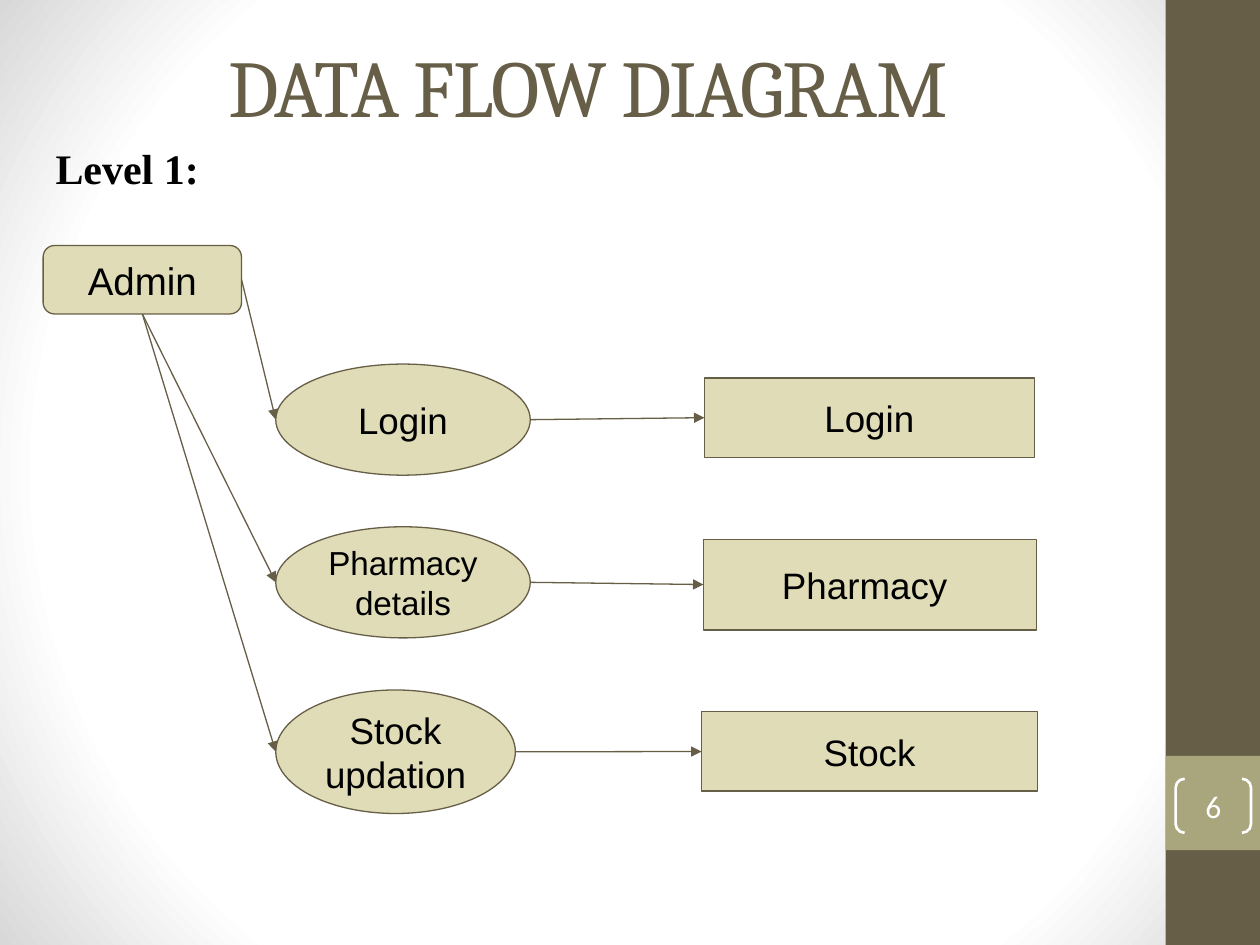
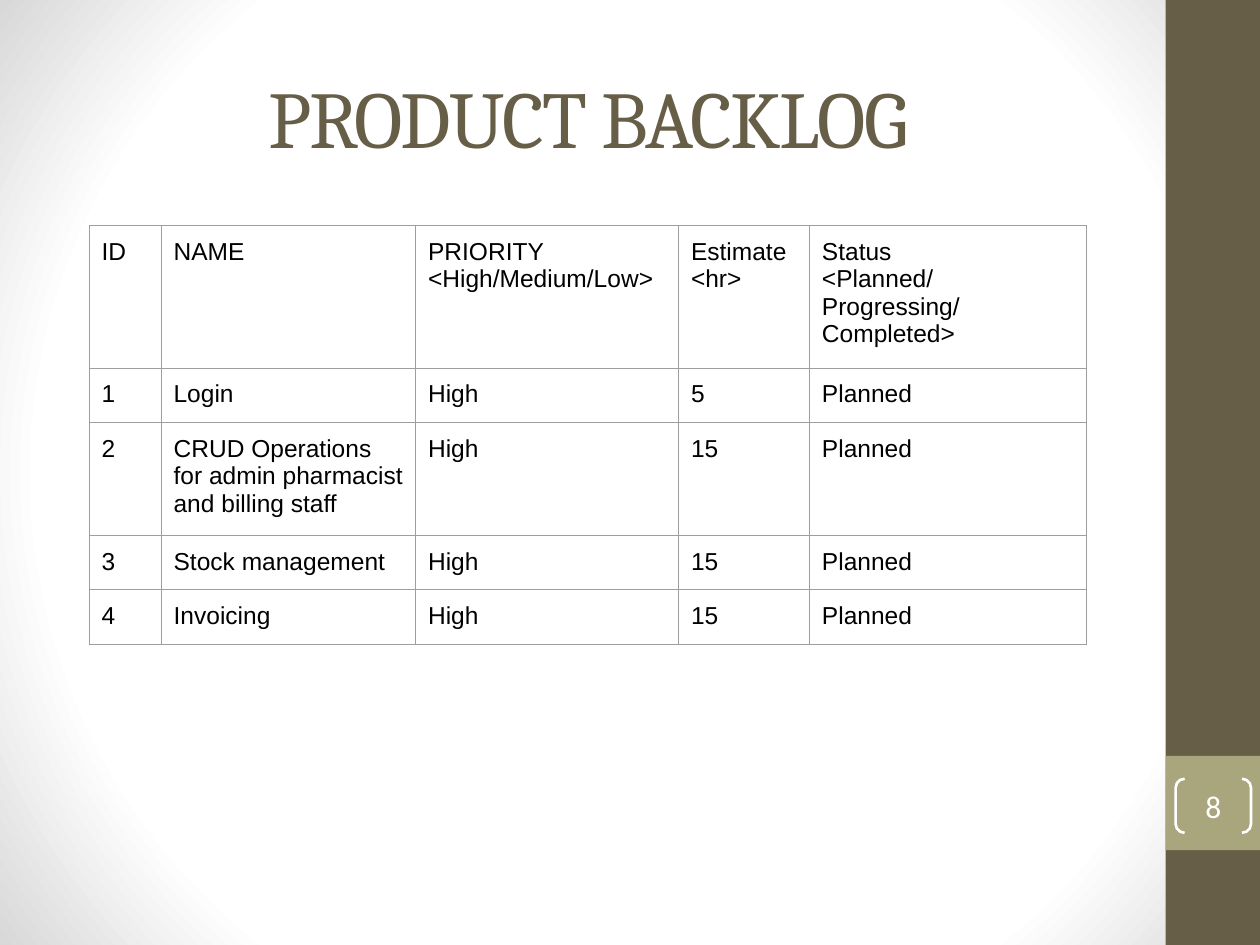
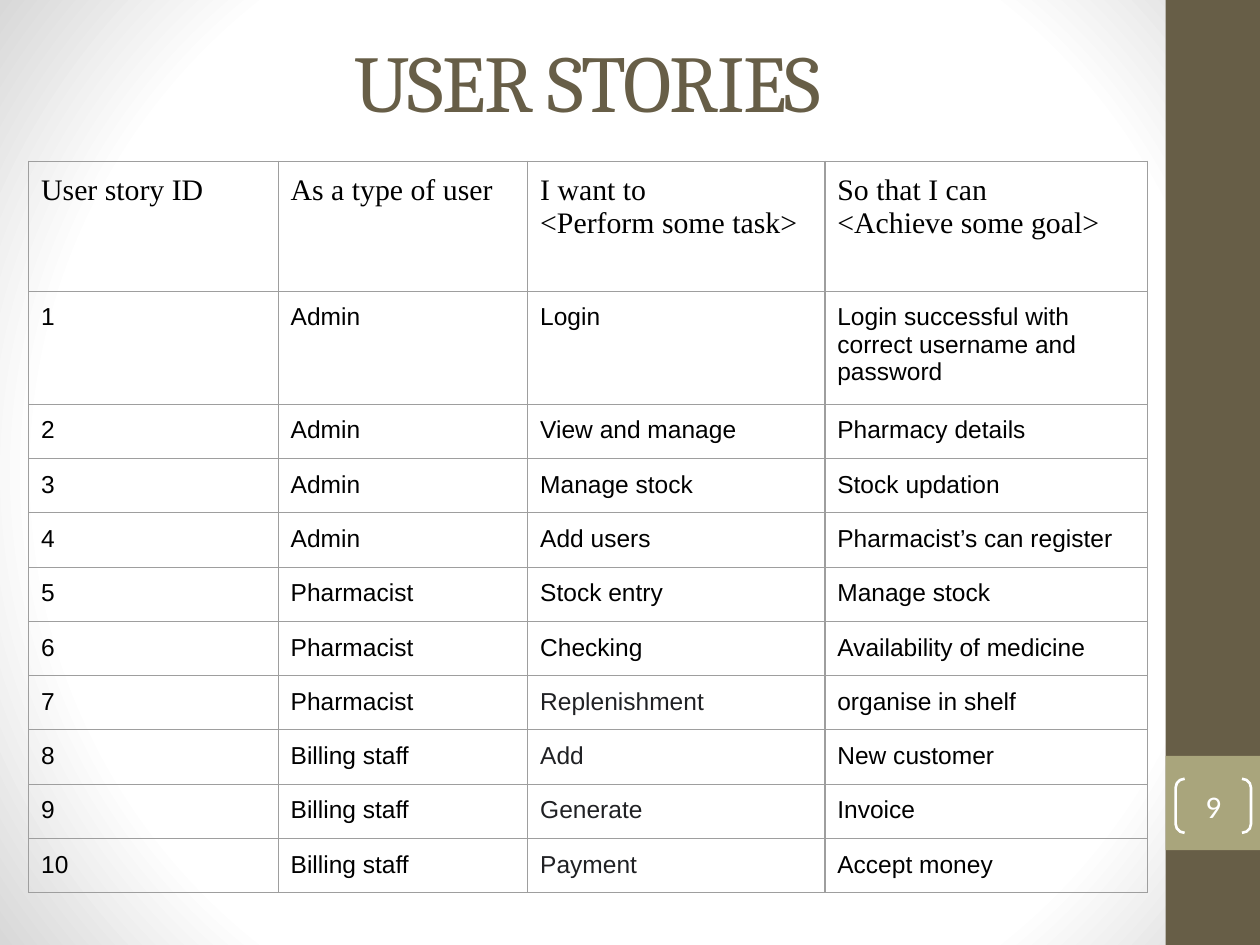
from lxml.etree import SubElement
from pptx import Presentation
from pptx.dml.color import RGBColor
from pptx.enum.shapes import MSO_CONNECTOR as Link, MSO_SHAPE as Kind
from pptx.enum.text import MSO_ANCHOR as Anchor, PP_ALIGN as Align
from pptx.oxml import parse_xml
from pptx.oxml.ns import nsdecls, qn
from pptx.util import Cm, Pt

# Colours
BROWN = RGBColor(0x67, 0x5E, 0x47)
OLIVE = RGBColor(0xA9, 0xA5, 0x7C)
SAND = RGBColor(0xDF, 0xDC, 0xB7)
WHITE = RGBColor(0xFF, 0xFF, 0xFF)
BLACK = RGBColor(0, 0, 0)
INK = RGBColor(0x20, 0x21, 0x24)
GREY = RGBColor(0x9E, 0x9E, 0x9E)

# Connection sites of a rectangle
LEFT, BOTTOM, RIGHT = 1, 2, 3
PAD = 0.25
ROW = 1.06

# Flow rows: process (text, size, top, width, height), store (text, left, top, width, height)
FLOWS = [
    (("Login", 21, 7.34, 5.13, 2.24), ("Login", 14.2, 7.62, 6.65, 1.6)),
    (("Pharmacy details", 19, 10.62, 5.13, 2.24), ("Pharmacy ", 14.18, 10.87, 6.71, 1.83)),
    (("Stock updation", 21, 13.91, 4.83, 2.49), ("Stock", 14.14, 14.35, 6.78, 1.6)),
]

BACKLOG = [
    ("ID", "NAME", "PRIORITY\n<High/Medium/Low>", "Estimate\n<hr>",
     "Status\n<Planned/Progressing/Completed>"),
    ("1", "Login", "High", "5", "Planned"),
    ("2", "CRUD Operations for admin pharmacist and billing staff", "High", "15", "Planned"),
    ("3", "Stock management", "High", "15", "Planned"),
    ("4", "Invoicing", "High", "15", "Planned"),
]

STORIES = [
    ("User story ID", "As a type of user", "I want to\n<Perform some task>",
     "So that I can\n<Achieve some goal>"),
    ("1", "Admin", "Login", "Login successful with correct username and password"),
    ("2", "Admin", "View and manage", "Pharmacy details"),
    ("3", "Admin", "Manage stock", "Stock updation"),
    ("4", "Admin", "Add users", "Pharmacist’s can register"),
    ("5", "Pharmacist", "Stock entry", "Manage stock"),
    ("6", "Pharmacist", "Checking", "Availability of medicine"),
    ("7", "Pharmacist", "Replenishment", "organise in shelf"),
    ("8", "Billing staff", "Add", "New customer"),
    ("9", "Billing staff", "Generate", "Invoice"),
    ("10", "Billing staff", "Payment", "Accept money"),
]


def set_text(frame, text, size, face="Arial", color=BLACK, align=None, bold=False):
    frame.text = text
    for para in frame.paragraphs:
        para.alignment = align
        for run in para.runs:
            font = run.font
            font.size, font.name, font.bold = Pt(size), face, bold
            font.color.rgb = color


def set_pads(frame, side, top):
    frame.word_wrap = True
    frame.margin_left = frame.margin_right = Cm(side)
    frame.margin_top = frame.margin_bottom = Cm(top)


def add_box(slide, kind, box, fill=None, line=None, width=0.75):
    shape = slide.shapes.add_shape(kind, *map(Cm, box))
    shape.shadow.inherit = False
    if fill is None:
        shape.fill.background()
    else:
        shape.fill.solid()
        shape.fill.fore_color.rgb = fill
    if line is None:
        shape.line.fill.background()
    else:
        shape.line.color.rgb = line
        shape.line.width = Pt(width)
    return shape


def add_node(slide, kind, box, text, size):
    node = add_box(slide, kind, box, SAND, BROWN)
    frame = node.text_frame
    set_pads(frame, PAD, PAD)
    frame.vertical_anchor = Anchor.MIDDLE
    set_text(frame, text, size, align=Align.CENTER)
    return node


def add_label(slide, box, text, size, face, color, pad=PAD, **style):
    frame = slide.shapes.add_textbox(*map(Cm, box)).text_frame
    set_pads(frame, PAD, pad)
    set_text(frame, text, size, face, color, **style)
    return frame


def add_arrow(slide, start, end):
    arrow = slide.shapes.add_connector(Link.STRAIGHT, *start, *end)
    arrow.line.color.rgb = BROWN
    arrow.line.width = Pt(0.75)
    props = arrow.element.spPr
    SubElement(props.find(qn("a:ln")), qn("a:tailEnd"), type="triangle")
    SubElement(props, qn("a:effectLst"))
    return arrow


def middle(shape):
    return shape.top + shape.height // 2


def add_edges(cell):
    props = cell._tc.get_or_add_tcPr()
    for spot, side in enumerate(("lnL", "lnR", "lnT", "lnB")):
        props.insert(spot, parse_xml(
            f'<a:{side} {nsdecls("a")} w="{Pt(0.75)}"><a:solidFill>'
            f'<a:srgbClr val="{GREY}"/></a:solidFill></a:{side}>'))


def add_grid(slide, left, top, widths, rows, head=ROW, style=(14, "Arial")):
    tall = head + ROW * (len(rows) - 1)
    table = slide.shapes.add_table(
        len(rows), len(widths), Cm(left), Cm(top), Cm(sum(widths)), Cm(tall)).table
    table.first_row = table.horz_banding = False
    for col, width in zip(table.columns, widths):
        col.width = Cm(width)
    for num, (row, texts) in enumerate(zip(table.rows, rows)):
        row.height = Cm(ROW if num else head)
        for cell, text in zip(row.cells, texts):
            cell.margin_left = cell.margin_right = Cm(PAD)
            cell.margin_top = cell.margin_bottom = Cm(PAD)
            cell.fill.background()
            add_edges(cell)
            set_text(cell.text_frame, text, *((14, "Arial") if num else style))
    return table


def set_back(master):
    # Round gradient, white in the middle and grey at the corners
    master.background.fill.solid()
    props = master.element.xpath(".//p:bgPr")[0]
    stops = "".join(
        f'<a:gs pos="{pos}000"><a:srgbClr val="{tint}"/></a:gs>'
        for pos, tint in ((0, "FFFFFF"), (75, "FFFFFF"), (100, "D8D8D8")))
    props.replace(props[0], parse_xml(
        f'<a:gradFill {nsdecls("a")} rotWithShape="1"><a:gsLst>{stops}</a:gsLst>'
        '<a:path path="circle"><a:fillToRect l="50000" t="50000" r="50000" b="50000"/>'
        '</a:path></a:gradFill>'))


def add_page(prs, title, top, height, number):
    slide = prs.slides.add_slide(prs.slide_layouts[6])
    # Side band and number tag
    add_box(slide, Kind.RECTANGLE, (23.5, 0, 1.9, 19.05), BROWN)
    add_box(slide, Kind.RECTANGLE, (23.5, 15.24, 1.9, 1.9), OLIVE)
    # Title
    frame = add_label(slide, (1.27, top, 21.16, height), title, 46, "Cambria", BROWN,
                      pad=0.13, align=Align.CENTER)
    frame.vertical_anchor = Anchor.MIDDLE
    frame.paragraphs[0].runs[0].font._element.set("spc", "-100")
    # Page number
    tag = add_box(slide, Kind.DOUBLE_BRACKET, (23.7, 15.7, 1.52, 1.09), line=WHITE, width=1.5)
    set_pads(tag.text_frame, 0, 0)
    tag.text_frame.vertical_anchor = Anchor.MIDDLE
    set_text(tag.text_frame, number, 18, "Calibri", WHITE, Align.CENTER)
    return slide


def add_flow(slide):
    admin = add_node(slide, Kind.ROUNDED_RECTANGLE, (0.87, 4.95, 4, 1.38), "Admin", 22)
    for num, (task, store) in enumerate(FLOWS):
        text, size, top, width, height = task
        oval = add_node(slide, Kind.OVAL, (5.56, top, width, height), text, size)
        name, *box = store
        rect = add_node(slide, Kind.RECTANGLE, box, name, 21)
        # Admin to process, then process to store
        entry = (oval.left, middle(oval))
        add_arrow(slide, entry, entry).begin_connect(admin, BOTTOM if num else RIGHT)
        leave = (oval.left + oval.width, middle(oval))
        add_arrow(slide, leave, (rect.left, middle(rect))).end_connect(rect, LEFT)


def main():
    prs = Presentation()
    prs.slide_width, prs.slide_height = Cm(25.4), Cm(19.05)
    set_back(prs.slide_master)

    # Data flow
    slide = add_page(prs, "DATA FLOW DIAGRAM", 0.13, 3.18, "6")
    add_flow(slide)
    add_label(slide, (0.87, 2.62, 20.37, 1.55), "Level 1:", 24, "Times New Roman", BLACK,
              bold=True)

    # Backlog
    slide = add_page(prs, "PRODUCT BACKLOG", 0.76, 3.18, "8")
    add_grid(slide, 1.8, 4.55, (1.45, 5.13, 5.3, 2.64, 5.59), BACKLOG)

    # User stories
    slide = add_page(prs, "USER STORIES", 0.43, 2.36, "9")
    table = add_grid(slide, 0.58, 3.25, (5.03, 5.03, 5.99, 6.5), STORIES, 2.62,
                     (17, "Times New Roman"))
    for row in range(7, len(STORIES)):
        table.cell(row, 2).text_frame.paragraphs[0].runs[0].font.color.rgb = INK

    prs.save("out.pptx")


if __name__ == "__main__":
    main()
